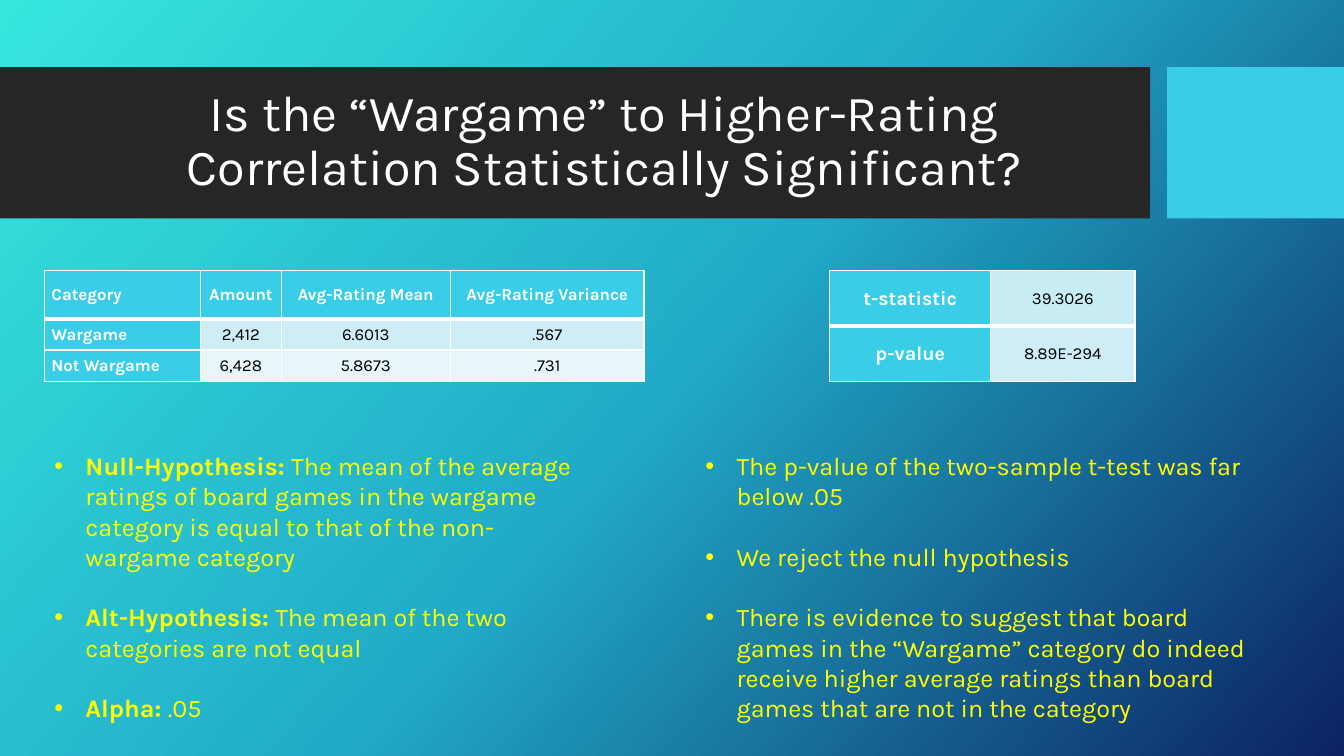
import copy

import lxml.etree
import pptx
import pptx.dml.color
import pptx.enum.shapes
import pptx.enum.text
import pptx.oxml.ns
import pptx.util

RGB = pptx.dml.color.RGBColor
ALIGN = pptx.enum.text.PP_ALIGN
MIDDLE = pptx.enum.text.MSO_ANCHOR.MIDDLE
qn = pptx.oxml.ns.qn

FONT = "Karla"
WHITE = RGB(0xFF, 0xFF, 0xFF)
BLACK = RGB(0x00, 0x00, 0x00)
YELLOW = RGB(0xFF, 0xFF, 0x00)
CHARCOAL = RGB(0x26, 0x26, 0x26)
CYAN = RGB(0x39, 0xCD, 0xE7)
PALE = RGB(0xCE, 0xED, 0xF6)
PALER = RGB(0xE8, 0xF6, 0xFA)
PALE_TEAL = RGB(0xC8, 0xEC, 0xF4)
BACKDROP = [(0, RGB(0x36, 0xE6, 0xDD)), (0.5, RGB(0x21, 0xAB, 0xC8)),
            (1, RGB(0x0C, 0x22, 0x63))]

# Square grid: 40 columns by 22.5 rows
CELL = pptx.util.Inches(13.333) / 40


def grid(*counts):
    return [pptx.util.Emu(round(count * CELL)) for count in counts]


def style(run, size, color, bold=False):
    run.font.name = FONT
    run.font.size = pptx.util.Pt(size)
    run.font.color.rgb = color
    run.font.bold = bold


def paint_background(slide):
    fill = slide.background.fill
    fill.gradient()
    fill.gradient_angle = 360 - 42
    stops = slide.element.find(".//" + qn("a:gsLst"))
    stops.insert(1, copy.deepcopy(stops[0]))
    for stop, (position, color) in zip(fill.gradient_stops, BACKDROP):
        stop.position = position
        stop.color.rgb = color


def add_header(slide, box, title):
    left, top, width, height = box
    # Dark band and accent block
    band_width, gap = 34.23, 0.51
    accent_left = left + band_width + gap
    for x, w, color in [(left, band_width, CHARCOAL),
                        (accent_left, left + width - accent_left, CYAN)]:
        block = slide.shapes.add_shape(
            pptx.enum.shapes.MSO_SHAPE.RECTANGLE, *grid(x, top, w, height))
        block.shadow.inherit = False
        block.fill.solid()
        block.fill.fore_color.rgb = color
        block.line.fill.background()
    # Title
    heading = slide.shapes.add_textbox(
        *grid(left + 2.22, top + 0.46, 31.53, 3.54)).text_frame
    heading.word_wrap = True
    heading.vertical_anchor = MIDDLE
    heading.text = title
    line = heading.paragraphs[0]
    line.alignment = ALIGN.CENTER
    line.line_spacing = 0.9
    style(line.runs[0], 36, WHITE)


def draw_borders(cell, widths):
    properties = cell._tc.get_or_add_tcPr()
    for index, (side, width) in enumerate(widths.items()):
        edge = lxml.etree.Element(qn("a:ln" + side), w=str(pptx.util.Pt(width)))
        solid = lxml.etree.SubElement(edge, qn("a:solidFill"))
        lxml.etree.SubElement(solid, qn("a:srgbClr"), val=str(WHITE))
        properties.insert(index, edge)


def add_results(slide, box, columns, rows, values, fills, label_size, left_labels):
    """Fills give the colour of the value cells per row."""
    frame = slide.shapes.add_table(len(rows), len(columns), *grid(*box))
    table = frame.table
    table.horz_banding = False
    for column, width in zip(table.columns, grid(*columns)):
        column.width = width
    for row, height in zip(table.rows, grid(*rows)):
        row.height = height
    for r, texts in enumerate(values):
        for c, text in enumerate(texts):
            label = c == 0 or fills[r] == CYAN
            cell = table.cell(r, c)
            cell.margin_left = cell.margin_right = pptx.util.Inches(0.07)
            cell.margin_top = cell.margin_bottom = 0
            cell.vertical_anchor = MIDDLE
            cell.fill.solid()
            cell.fill.fore_color.rgb = CYAN if label else fills[r]
            cell.text_frame.text = text
            line = cell.text_frame.paragraphs[0]
            line.alignment = ALIGN.LEFT if left_labels and c == 0 else ALIGN.CENTER
            line.line_spacing = 1.07
            style(line.runs[0], label_size if label else 12,
                  WHITE if label else BLACK, label)
            # Heavy rule below the first row
            draw_borders(cell, {"L": 1, "R": 1, "T": 3 if r == 1 else 1,
                                "B": 3 if r == 0 else 1})


def add_bullets(slide, box, points):
    """Each point is a bold lead-in and the text after it."""
    body = slide.shapes.add_textbox(*grid(*box)).text_frame
    body.word_wrap = True
    indent = pptx.util.Inches(0.31)
    for number, (lead, rest) in enumerate(points):
        point = body.add_paragraph() if number else body.paragraphs[0]
        if number:
            point.space_before = pptx.util.Pt(21.6)
        for text, bold in [(lead, True), (rest, False)]:
            if text:
                run = point.add_run()
                run.text = text
                style(run, 18, YELLOW, bold)
        properties = point._p.get_or_add_pPr()
        properties.set("marL", str(indent))
        properties.set("indent", str(-indent))
        lxml.etree.SubElement(properties, qn("a:buFont"), typeface="Arial")
        lxml.etree.SubElement(properties, qn("a:buChar"), char="•")


def build():
    deck = pptx.Presentation()
    deck.slide_width, deck.slide_height = grid(40, 22.5)
    slide = deck.slides.add_slide(deck.slide_layouts[6])
    paint_background(slide)
    add_header(slide, (0, 2, 40, 4.5),
               "Is the “Wargame” to Higher-Rating Correlation "
               "Statistically Significant?")

    # Ratings by category
    add_results(slide, (1.32, 8.05, 17.85, 3.3),
                [4.65, 2.4, 5.04, 5.76], [1.44, 0.93, 0.93],
                [["Category", "Amount", "Avg-Rating Mean", "Avg-Rating Variance"],
                 ["Wargame", "2,412", "6.6013", ".567"],
                 ["Not Wargame", "6,428", "5.8673", ".731"]],
                [CYAN, PALE, PALER], 12, True)

    # Outcome of the test
    add_results(slide, (24.69, 8.05, 9.09, 3.3), [4.8, 4.29], [1.65, 1.65],
                [["t-statistic", "39.3026"], ["p-value", "8.89E-294"]],
                [PALE_TEAL, PALE], 14, False)

    # Hypotheses and conclusions
    add_bullets(slide, (1.32, 13.26, 16.59, 9.24), [
        ("Null-Hypothesis: ", "The mean of the average ratings of board games in "
         "the wargame category is equal to that of the non-wargame category"),
        ("Alt-Hypothesis: ", "The mean of the two categories are not equal"),
        ("Alpha: ", ".05")])
    add_bullets(slide, (20.7, 13.26, 17.1, 8.49), [
        ("", "The p-value of the two-sample t-test was far below .05"),
        ("", "We reject the null hypothesis"),
        ("", "There is evidence to suggest that board games in the “Wargame” "
         "category do indeed receive higher average ratings than board games "
         "that are not in the category")])
    deck.save("out.pptx")


build()
